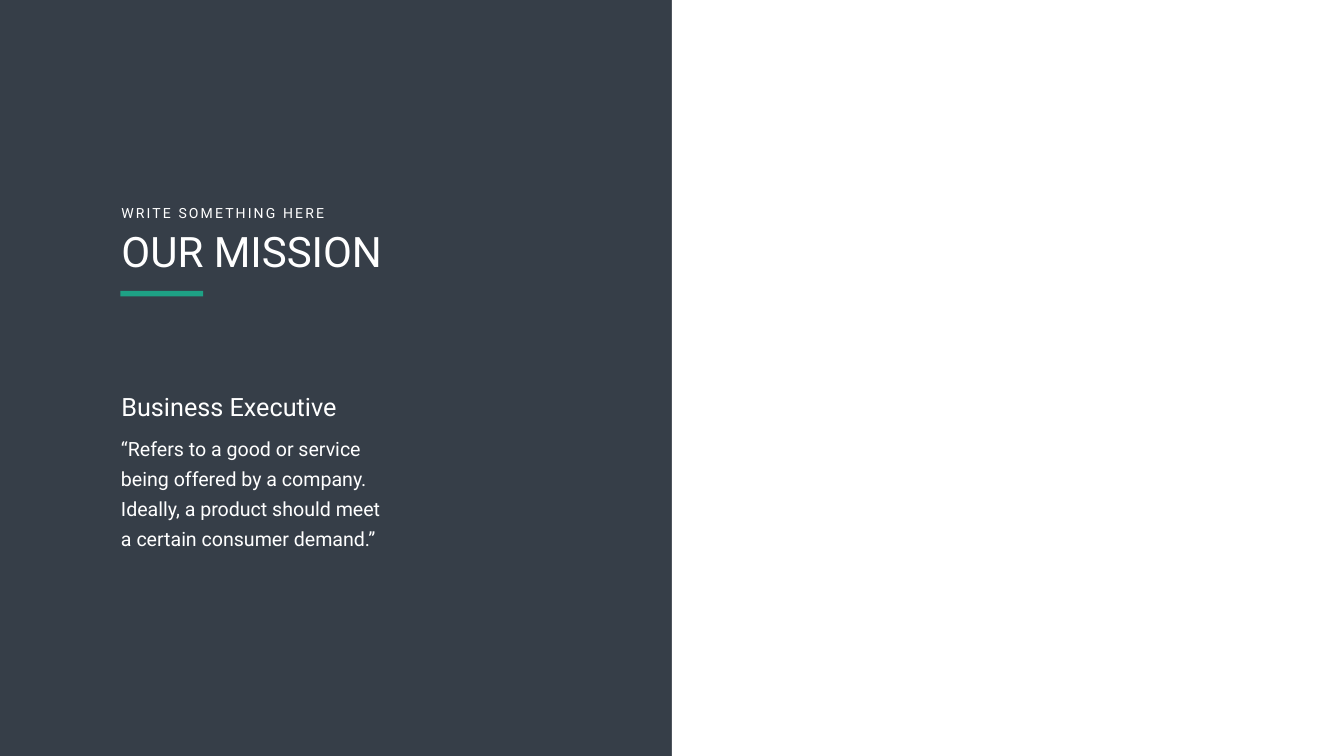
from pptx import Presentation
from pptx.dml.color import RGBColor
from pptx.enum.shapes import MSO_SHAPE as Shape
from pptx.enum.text import MSO_AUTO_SIZE as AutoSize
from pptx.util import Inches, Pt

SLATE = RGBColor(0x36, 0x3E, 0x48)
GREEN = RGBColor(0x1E, 0xA1, 0x85)
WHITE = RGBColor(0xFF, 0xFF, 0xFF)
WIDTH, HEIGHT = 26.66, 15
MARGIN = 2.31


class MissionSlide:
    font = "Roboto"
    color = WHITE

    def __init__(self, deck, background):
        self.slide = deck.slides.add_slide(deck.slide_layouts[6])
        fill = self.slide.background.fill
        fill.solid()
        fill.fore_color.rgb = background

    def block(self, left, top, width, height, color):
        box = [Inches(v) for v in (left, top, width, height)]
        block = self.slide.shapes.add_shape(Shape.RECTANGLE, *box)
        block.shadow.inherit = False
        block.fill.solid()
        block.fill.fore_color.rgb = color
        block.line.fill.background()

    def text(self, left, top, width, height, words, size,
             inset=0.1, leading=None, tracking=None):
        box = [Inches(v) for v in (left, top, width, height)]
        frame = self.slide.shapes.add_textbox(*box).text_frame
        frame.word_wrap = True
        frame.auto_size = AutoSize.SHAPE_TO_FIT_TEXT
        frame.margin_left = frame.margin_right = Inches(inset)
        frame.margin_top = frame.margin_bottom = Inches(inset / 2)
        paragraph = frame.paragraphs[0]
        if leading:
            paragraph.line_spacing = Pt(leading)
        run = paragraph.add_run()
        run.text = words
        run.font.name = self.font
        run.font.size = Pt(size)
        run.font.color.rgb = self.color
        if tracking:
            run._r.get_or_add_rPr().set("spc", str(tracking * 100))


def main():
    deck = Presentation()
    deck.slide_width, deck.slide_height = Inches(WIDTH), Inches(HEIGHT)
    mission = MissionSlide(deck, SLATE)
    mission.block(WIDTH / 2, 0, WIDTH / 2, HEIGHT, WHITE)
    mission.text(MARGIN, 4.01, 4.35, 0.44, "WRITE SOMETHING HERE", 20, tracking=3)
    mission.text(MARGIN, 4.42, 5.89, 1.11, "OUR MISSION", 60)
    mission.block(2.39, 5.77, 1.64, 0.11, GREEN)
    mission.text(MARGIN, 7.71, 5.06, 0.71, "Business Executive", 36)
    mission.text(
        2.16, 8.41, 5.89, 2.6,
        "“Refers to a good or service being offered by a company. "
        "Ideally, a product should meet a certain consumer demand.”",
        28, inset=0.24, leading=43,
    )
    deck.save("out.pptx")


if __name__ == "__main__":
    main()
